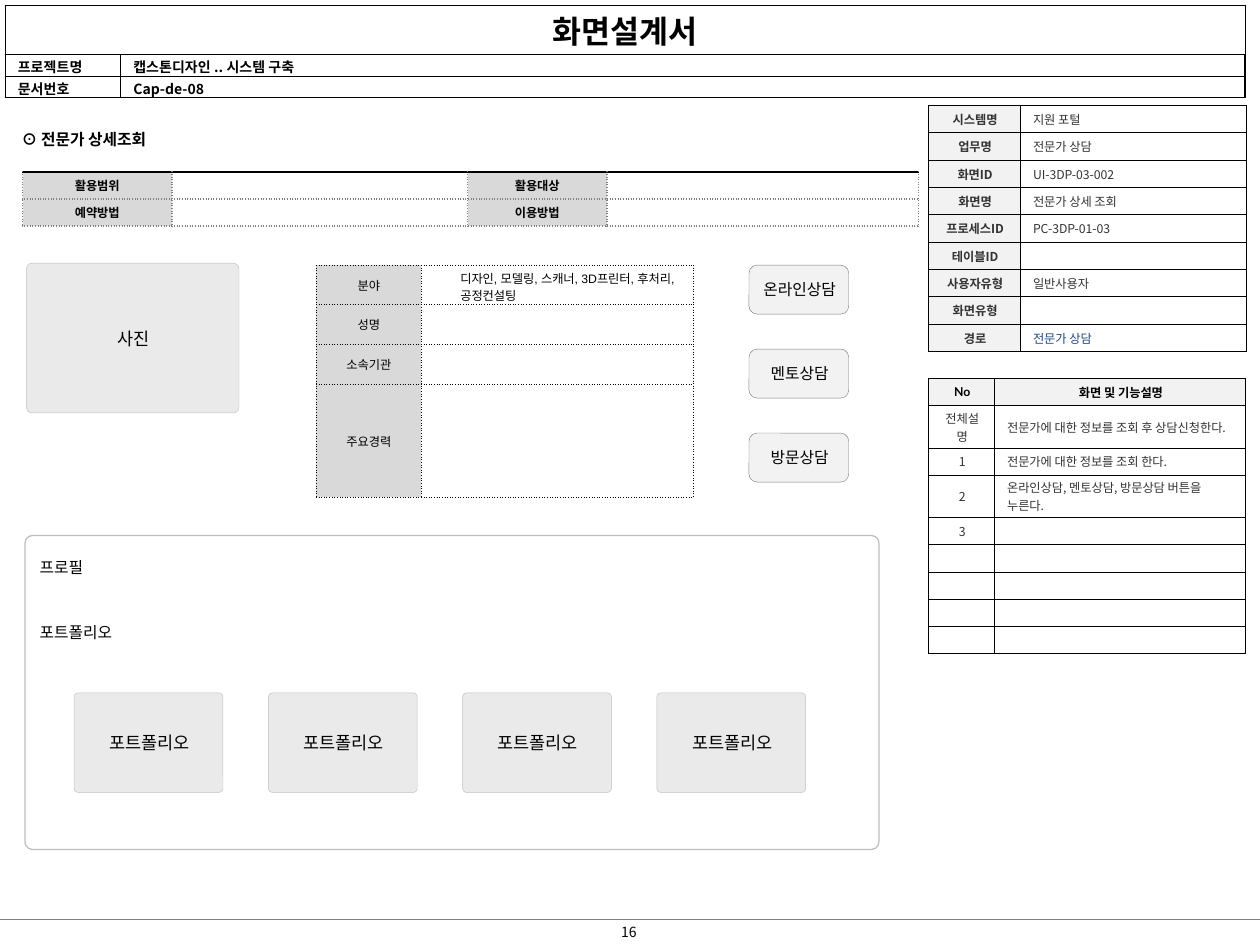
from lxml import etree
from pptx import Presentation
from pptx.dml.color import RGBColor
from pptx.enum.shapes import MSO_CONNECTOR, MSO_SHAPE
from pptx.enum.text import MSO_ANCHOR, PP_ALIGN
from pptx.oxml.ns import qn
from pptx.util import Pt

LEFT, CENTER = PP_ALIGN.LEFT, PP_ALIGN.CENTER
TOP, MIDDLE = MSO_ANCHOR.TOP, MSO_ANCHOR.MIDDLE
ROUNDED, STRAIGHT = MSO_SHAPE.ROUNDED_RECTANGLE, MSO_CONNECTOR.STRAIGHT
KOREAN = "Noto Sans CJK KR"
TITLE_ONLY = 5

BASE = {"size": 7, "bold": False, "name": KOREAN, "colour": "000000", "align": LEFT,
        "fill": None, "anchor": MIDDLE, "margins": (7.2, 1.9, 6.2, 1.9)}
BODY = BASE | {"colour": "333333"}
NUMBER = BODY | {"align": CENTER}
INFO_LABEL = NUMBER | {"bold": True, "fill": "F2F2F2"}
COLUMN_HEAD = INFO_LABEL | {"colour": "000000", "name": "Arial"}
FIELD = BASE | {"name": "Arial", "fill": "FFFFFF", "margins": (22.3, 2, 5.8, 0)}
FIELD_LABEL = FIELD | {"align": CENTER, "fill": "D9D9D9", "margins": (0, 0, 0, 0)}
SCOPE_LABEL = FIELD_LABEL | {"bold": True}
DOCUMENT = BASE | {"size": 8, "bold": True, "fill": "FFFFFF", "anchor": TOP,
                   "margins": (7.2, 1, 7.2, 0)}
DOCUMENT_TITLE = DOCUMENT | {"size": 18, "align": CENTER}
HEADING = BASE | {"size": 9, "bold": True, "anchor": TOP, "margins": (7.2, 3.6, 7.2, 3.6)}
PAGE_NUMBER = HEADING | {"size": 8, "bold": False, "align": CENTER}
TILE = BASE | {"size": 10, "align": CENTER, "fill": "EAEAEA"}
BUTTON = TILE | {"size": 9, "fill": "F2F2F2"}
PANEL = BASE | {"size": 9, "fill": "FFFFFF", "anchor": TOP, "margins": (7.2, 11.3, 7.2, 0)}


def colour(value):
    return RGBColor.from_string(value)


def paint(target, value):
    if value is None:
        target.background()
    else:
        target.solid()
        target.fore_color.rgb = colour(value)


def write(para, text, style):
    para.alignment = style["align"]
    if not text:
        para._p.get_or_add_endParaRPr().set("sz", str(style["size"] * 100))
        return
    span = para.add_run()
    span.text = text
    values = {"size": Pt(style["size"]), "bold": style["bold"], "name": style["name"]}
    for name, value in values.items():
        setattr(span.font, name, value)
    span.font.color.rgb = colour(style["colour"])
    etree.SubElement(span._r.get_or_add_rPr(), qn("a:ea")).set("typeface", KOREAN)


def set_frame(target, style):
    for side, value in zip(("left", "top", "right", "bottom"), style["margins"]):
        setattr(target, f"margin_{side}", Pt(value))
    target.vertical_anchor = style["anchor"]


def set_borders(cell, borders):
    properties = cell._tc.get_or_add_tcPr()
    for index, side in enumerate("LRTB"):
        value, width, dash = borders[side]
        line = etree.Element(qn(f"a:ln{side}"), w=str(int(Pt(width))))
        fill = etree.SubElement(line, qn("a:solidFill"))
        etree.SubElement(fill, qn("a:srgbClr"), val=value)
        etree.SubElement(line, qn("a:prstDash"), val=dash)
        properties.insert(index, line)


def add_grid(page, left, top, widths, heights, rows, columns, border, edges=None, special=None):
    edges, special = edges or {}, special or {}
    frame = page.shapes.add_table(len(rows), len(widths), Pt(left), Pt(top),
                                  Pt(sum(widths)), Pt(sum(heights)))
    table = frame.table
    table.first_row = table.horz_banding = False
    for column, width in zip(table.columns, widths):
        column.width = Pt(width)
    for row, height in zip(table.rows, heights):
        row.height = Pt(height)
    for r, texts in enumerate(rows):
        for c, text in enumerate(texts):
            cell = table.cell(r, c)
            style = special.get((r, c), columns[c])
            set_frame(cell, style)
            paint(cell.fill, style["fill"])
            write(cell.text_frame.paragraphs[0], text, style)
            outer = {"L": c == 0, "R": c == len(widths) - 1,
                     "T": r == 0, "B": r == len(rows) - 1}
            set_borders(cell, {side: edges.get(side, border) if edge else border
                               for side, edge in outer.items()})
    return table


def add_box(page, left, top, width, height, texts, style, radius, line, weight=0.25, gap=0):
    box = page.shapes.add_shape(ROUNDED, Pt(left), Pt(top), Pt(width), Pt(height))
    box.shadow.inherit = False
    box.adjustments[0] = radius
    paint(box.fill, style["fill"])
    box.line.color.rgb = colour(line)
    box.line.width = Pt(weight)
    frame = box.text_frame
    frame.word_wrap = False
    set_frame(frame, style)
    for index, text in enumerate(texts):
        para = frame.add_paragraph() if index else frame.paragraphs[0]
        write(para, text, style)
        para.space_before = Pt(gap if index else 0)


def add_label(box, place, text, style):
    for name, value in zip(("left", "top", "width", "height"), place):
        setattr(box, name, Pt(value))
    frame = box.text_frame
    frame.word_wrap = True
    set_frame(frame, style)
    write(frame.paragraphs[0], text, style)


def add_footer(page):
    rule = page.shapes.add_connector(STRAIGHT, 0, Pt(525.5), Pt(720), Pt(525.5))
    rule.line.color.rgb = colour("808080")
    rule.line.width = Pt(0.75)
    etree.SubElement(rule._element.spPr, qn("a:effectLst"))
    add_label(page.shapes.add_textbox(0, 0, 0, 0), (339.6, 524.2, 39.6, 17.3), "16", PAGE_NUMBER)


def add_tables(page):
    thin, thick = ("000000", 0.5, "solid"), ("000000", 1, "solid")
    dotted = ("808080", 1, "sysDot")
    document = add_grid(
        page, 3, 3, [66, 642.5], [28, 12.5, 12.5],
        [("화면설계서", ""), ("프로젝트명", "캡스톤디자인 .. 시스템 구축"), ("문서번호", "Cap-de-08")],
        [DOCUMENT, DOCUMENT], thin, dict.fromkeys("LRT", thick), {(0, 0): DOCUMENT_TITLE})
    document.cell(0, 0).merge(document.cell(0, 1))

    functions = [("No", "화면 및 기능설명"), ("전체설명", "전문가에 대한 정보를 조회 후 상담신청한다."),
                 ("1", "전문가에 대한 정보를 조회 한다."),
                 ("2", "온라인상담, 멘토상담, 방문상담 버튼을 누른다."), ("3", "")] + [("", "")] * 4
    add_grid(page, 530.3, 216.3, [38, 143.5], [15.6, 24.1, 15.6, 24.1] + [15.6] * 5,
             functions, [NUMBER, BODY], thin,
             special={(0, 0): COLUMN_HEAD | {"name": "Lato"}, (0, 1): COLUMN_HEAD})

    details = [("시스템명", "지원 포털"), ("업무명", "전문가 상담"), ("화면ID", "UI-3DP-03-002"),
               ("화면명", "전문가 상세 조회"), ("프로세스ID", "PC-3DP-01-03"), ("테이블ID", ""),
               ("사용자유형", "일반사용자"), ("화면유형", ""), ("경로", "전문가 상담")]
    add_grid(page, 530.3, 60.3, [52.8, 129.2], [15.62] * 9, details, [INFO_LABEL, BODY], thin,
             special={(8, 1): BODY | {"colour": "1F497D"}})

    add_grid(page, 12.9, 98.3, [85.4, 168.9, 79.7, 178], [15.5] * 2,
             [("활용범위", "", "활용대상", ""), ("예약방법", "", "이용방법", "")],
             [SCOPE_LABEL, BASE] * 2, dotted, {"T": thick})

    add_grid(page, 180.8, 151.7, [60, 155.4], [22.4, 22.8, 22.8, 64.6],
             [("분야", "디자인, 모델링, 스캐너, 3D프린터, 후처리, 공정컨설팅"),
              ("성명", ""), ("소속기관", ""), ("주요경력", "")],
             [FIELD_LABEL, FIELD], ("000000", 0.5, "sysDot"))


def add_boxes(page):
    add_box(page, 15.1, 150.4, 121.5, 85.6, ["사진"], TILE, 0.038, "C0C0C0")
    for index, text in enumerate(("온라인상담", "멘토상담", "방문상담")):
        add_box(page, 428, 151.5 + 48 * index, 57, 28, [text], BUTTON, 0.167, "808080")
    add_box(page, 14.3, 306, 488, 179.4, ["프로필", "포트폴리오"], PANEL, 0.024, "BFBFBF", 0.75, 26.4)
    for index in range(4):
        add_box(page, 42.4 + 111 * index, 396, 85, 56.8, ["포트폴리오"], TILE, 0.038, "C0C0C0")


def main():
    deck = Presentation()
    deck.slide_width, deck.slide_height = Pt(720), Pt(540)
    page = deck.slides.add_slide(deck.slide_layouts[TITLE_ONLY])
    add_label(page.shapes.title, (5.2, 70.3, 150, 18), "⊙ 전문가 상세조회", HEADING)
    add_footer(page)
    add_tables(page)
    add_boxes(page)
    deck.save("out.pptx")


if __name__ == "__main__":
    main()
